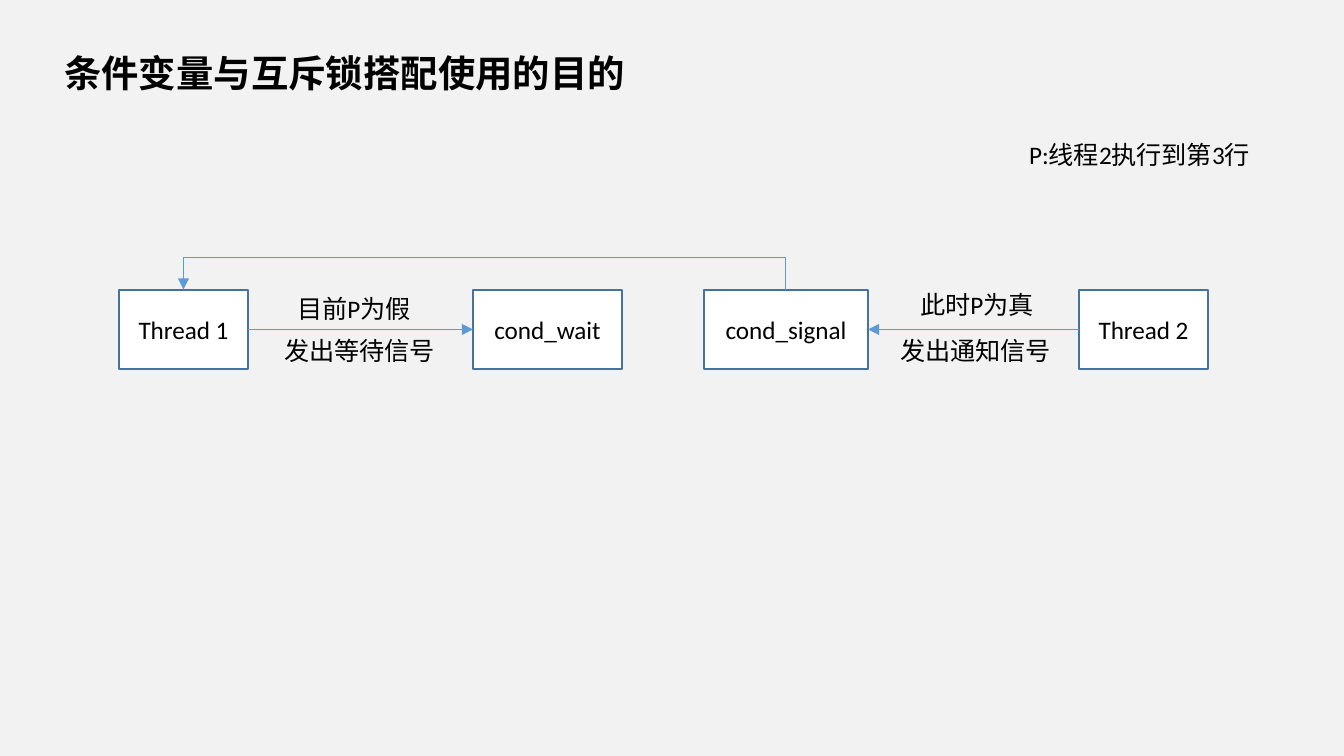
from lxml.etree import SubElement
from pptx import Presentation
from pptx.dml.color import RGBColor
from pptx.enum.shapes import MSO_CONNECTOR, MSO_SHAPE
from pptx.enum.text import MSO_ANCHOR, PP_ALIGN
from pptx.oxml.ns import qn
from pptx.util import Pt

PX = 914400 / 134.4
COLORS = {"background": "F2F2F2", "box": "FFFFFF", "border": "43739E",
          "arrow": "5B9BD5", "text": "000000"}
LATIN, CJK = "Calibri", "Noto Sans CJK SC"
TOP, LEFT, RIGHT = 0, 1, 3  # connection sites of a rectangle
BOX_TOP, BOX_HEIGHT = 290, 79
LABEL_WIDTH, LABEL_HEIGHT, INDENT = 238, 44, 23


def px(value):
    return round(value * PX)


def color(name):
    return RGBColor.from_string(COLORS[name])


def add_run(paragraph, text, size=13.5, font=LATIN, bold=False):
    run = paragraph.add_run()
    run.text = text
    run.font.size = Pt(size)
    run.font.name = font
    run.font.bold = bold
    run.font.color.rgb = color("text")
    east_asian = SubElement(run.font._element, qn("a:ea"))
    east_asian.set("typeface", CJK)


def add_box(slide, text, left, width):
    box = slide.shapes.add_shape(MSO_SHAPE.RECTANGLE, px(left), px(BOX_TOP),
                                 px(width), px(BOX_HEIGHT))
    box.shadow.inherit = False
    box.fill.solid()
    box.fill.fore_color.rgb = color("box")
    box.line.color.rgb = color("border")
    box.line.width = Pt(1)
    box.text_frame.vertical_anchor = MSO_ANCHOR.MIDDLE
    paragraph = box.text_frame.paragraphs[0]
    paragraph.alignment = PP_ALIGN.CENTER
    add_run(paragraph, text)
    return box


def add_label(slide, text, left, top, width=LABEL_WIDTH, height=LABEL_HEIGHT,
              indent=0, **style):
    label = slide.shapes.add_textbox(px(left), px(top), px(width), px(height))
    label.text_frame.word_wrap = True
    paragraph = label.text_frame.paragraphs[0]
    if indent:
        paragraph._p.get_or_add_pPr().set("marL", str(px(indent)))
    add_run(paragraph, text, **style)


def add_arrow(slide, kind, source, source_site, target, target_site):
    arrow = slide.shapes.add_connector(kind, 0, 0, 0, 0)
    arrow.begin_connect(source, source_site)
    arrow.end_connect(target, target_site)
    arrow.line.color.rgb = color("arrow")
    arrow.line.width = Pt(0.5)
    SubElement(arrow.line._get_or_add_ln(), qn("a:tailEnd")).set("type", "triangle")
    SubElement(arrow._element.spPr, qn("a:effectLst"))
    return arrow


def add_overhead_arrow(slide, source, target, rise):
    """Elbow arrow from top to top, running `rise` px above both boxes."""
    arrow = add_arrow(slide, MSO_CONNECTOR.ELBOW, source, TOP, target, TOP)
    start = source.left + source.width // 2
    end = target.left + target.width // 2
    span, depth = start - end, px(1)
    # The elbow is laid out upright, then turned a quarter to the left
    arrow.left, arrow.top = (start + end - depth) // 2, source.top - span // 2
    arrow.width, arrow.height = depth, span
    frame = arrow._element.spPr.find(qn("a:xfrm"))
    for name, value in (("rot", "16200000"), ("flipH", "0"), ("flipV", "1")):
        frame.set(name, value)
    guides = arrow._element.spPr.find(qn("a:prstGeom")).get_or_add_avLst()
    guide = SubElement(guides, qn("a:gd"))
    guide.set("name", "adj1")
    guide.set("fmla", f"val {rise * 100000}")


def main():
    prs = Presentation()
    prs.slide_width, prs.slide_height = px(1344), px(756)
    slide = prs.slides.add_slide(prs.slide_layouts[6])
    slide.background.fill.solid()
    slide.background.fill.fore_color.rgb = color("background")

    # Title and meaning of P
    add_label(slide, "条件变量与互斥锁搭配使用的目的", 51, 44, 632, 59,
              size=20, font=CJK, bold=True)
    add_label(slide, "P:线程2执行到第3行", 993, 133, 331, indent=INDENT)

    # Threads and their calls
    thread_1 = add_box(slide, "Thread 1", 119, 129)
    cond_wait = add_box(slide, "cond_wait", 473, 149)
    cond_signal = add_box(slide, "cond_signal", 704, 164)
    thread_2 = add_box(slide, "Thread 2", 1079, 129)

    # Arrows
    add_arrow(slide, MSO_CONNECTOR.STRAIGHT, thread_1, RIGHT, cond_wait, LEFT)
    add_arrow(slide, MSO_CONNECTOR.STRAIGHT, thread_2, LEFT, cond_signal, RIGHT)
    add_overhead_arrow(slide, cond_signal, thread_1, 33)

    # Labels above and below the straight arrows
    add_label(slide, "目前P为假", 261, 287, indent=INDENT)
    add_label(slide, "发出等待信号", 271, 329)
    add_label(slide, "此时P为真", 884, 283, indent=INDENT)
    add_label(slide, "发出通知信号", 887, 329)

    prs.save("out.pptx")


if __name__ == "__main__":
    main()
